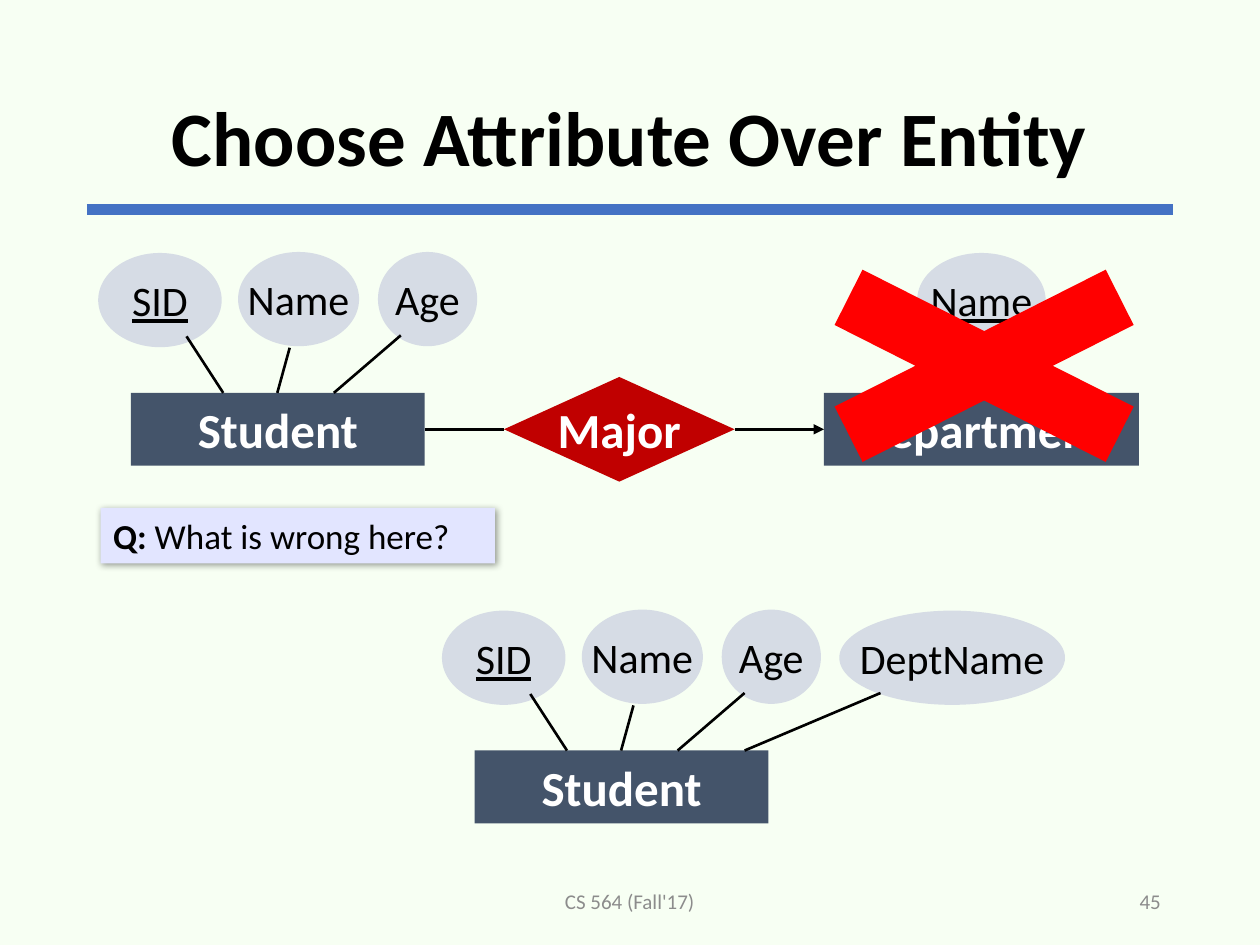
from lxml import etree
from pptx import Presentation
from pptx.dml.color import RGBColor
from pptx.enum.shapes import MSO_CONNECTOR, MSO_SHAPE
from pptx.enum.text import MSO_ANCHOR, PP_ALIGN
from pptx.oxml import parse_xml
from pptx.oxml.ns import nsdecls, qn
from pptx.util import Cm, Pt

BACK = RGBColor(0xF7, 0xFF, 0xF3)
BLUE = RGBColor(0x44, 0x72, 0xC4)
SLATE = RGBColor(0x44, 0x54, 0x6A)
PALE = RGBColor(0xD6, 0xDC, 0xE5)
LILAC = RGBColor(0xE2, 0xE5, 0xFF)
DARK_RED = RGBColor(0xC0, 0x00, 0x00)
RED = RGBColor(0xFF, 0x00, 0x00)
GREY = RGBColor(0x8C, 0x8C, 0x8C)
BLACK = RGBColor(0x00, 0x00, 0x00)
WHITE = RGBColor(0xFF, 0xFF, 0xFF)

# All lengths are in centimetres.
ENTITY_TOP, ENTITY_H = 7.92, 1.47
OVAL_H = 1.9
LOWER_SHIFT = (6.93, 7.21)

# Attribute: name, is key, left, top, width, line start x on entity, line end
STUDENT = ("Student", 2.64, 5.92)
STUDENT_ATTRS = [
    ("SID", True, 1.98, 5.1, 2.49, 4.5, (3.76, 6.78)),
    ("Name", False, 4.8, 5.08, 2.44, 5.59, (5.84, 7.01)),
    ("Age", False, 7.62, 5.08, 2.0, 6.73, (8.08, 6.76)),
]
DEPT_ATTR = ("DeptName", False, 9.99, 5.1, 4.55, 8.08, (10.82, 6.76))
DEPARTMENT = ("Department", 16.61, 6.35)
DEPARTMENT_ATTRS = [("Name", True, 18.49, 5.1, 2.59, 19.84, (19.84, 6.98))]
MAJOR = ("Major", (10.16, 7.6, 4.65, 2.11))

TITLE = ("Choose Attribute Over Entity", (1.75, 1.02, 21.9, 3.68))
FOOTERS = [
    ("CS 564 (Fall'17)", (8.41, 17.65, 8.57, 1.02), PP_ALIGN.CENTER),
    ("45", (17.93, 17.65, 5.72, 1.02), PP_ALIGN.RIGHT),
]
QUESTION = ([("Q: ", True), ("What is wrong here?", False)],
            (2.03, 10.24, 7.95, 1.12))
CROSS = (14.58, 4.72, 10.52, 5.31)


def set_font(font, size, color, bold=False, underline=False):
    font.name, font.size, font.bold = "Calibri", Pt(size), bold
    font.color.rgb = color
    if underline:
        font.underline = True


def add_shape(shapes, kind, box, fill):
    sp = shapes.add_shape(kind, *map(Cm, box))
    sp.shadow.inherit = False
    sp.fill.solid()
    sp.fill.fore_color.rgb = fill
    sp.line.fill.background()
    return sp


def add_label(shapes, kind, box, fill, text, size, color, bold=False,
              underline=False):
    sp = add_shape(shapes, kind, box, fill)
    tf = sp.text_frame
    tf.word_wrap = False
    tf.vertical_anchor = MSO_ANCHOR.MIDDLE
    p = tf.paragraphs[0]
    p.text, p.alignment = text, PP_ALIGN.CENTER
    set_font(p.font, size, color, bold, underline)
    return sp


def add_text(shapes, text, box, align, size, color, bold=False):
    tf = shapes.add_textbox(*map(Cm, box)).text_frame
    tf.word_wrap = True
    tf.vertical_anchor = MSO_ANCHOR.MIDDLE
    p = tf.paragraphs[0]
    p.text, p.alignment = text, align
    set_font(p.font, size, color, bold)
    return p


def add_line(shapes, start, end, color=BLACK, width=1.5):
    line = shapes.add_connector(MSO_CONNECTOR.STRAIGHT, *map(Cm, start + end))
    line.line.color.rgb = color
    line.line.width = Pt(width)
    etree.SubElement(line._element.spPr, qn("a:effectLst"))
    return line


def join(shapes, left_shape, right_shape):
    """Connect the right side of one shape to the left side of the next."""
    line = add_line(shapes, (0, 0), (0, 0))
    line.begin_connect(left_shape, 3)
    line.end_connect(right_shape, 1)
    return line


def add_entity(shapes, entity, attrs, shift=(0, 0)):
    """Draw an entity box with its attribute ovals, moved by shift."""
    dx, dy = shift
    name, left, width = entity
    box = add_label(shapes, MSO_SHAPE.RECTANGLE,
                    (left + dx, ENTITY_TOP + dy, width, ENTITY_H),
                    SLATE, name, 28, WHITE, bold=True)
    for text, key, x, y, w, foot, (end_x, end_y) in attrs:
        add_label(shapes, MSO_SHAPE.OVAL, (x + dx, y + dy, w, OVAL_H),
                  PALE, text, 24, BLACK, underline=key)
        add_line(shapes, (foot + dx, ENTITY_TOP + dy),
                 (end_x + dx, end_y + dy))
    return box


def add_question(shapes):
    runs, box = QUESTION
    sp = add_shape(shapes, MSO_SHAPE.RECTANGLE, box, LILAC)
    effects = sp._element.spPr.find(qn("a:effectLst"))
    effects.append(parse_xml(
        f'<a:outerShdw {nsdecls("a")} blurRad="50800" dist="12700" '
        'dir="2700000" algn="tl" rotWithShape="0"><a:srgbClr val="000000">'
        '<a:alpha val="40000"/></a:srgbClr></a:outerShdw>'))
    tf = sp.text_frame
    tf.word_wrap = True
    tf.vertical_anchor = MSO_ANCHOR.TOP
    p = tf.paragraphs[0]
    p.alignment = PP_ALIGN.LEFT
    for text, bold in runs:
        r = p.add_run()
        r.text = text
        set_font(r.font, 20, BLACK, bold)


def main():
    prs = Presentation()
    prs.slide_width, prs.slide_height = Cm(25.4), Cm(19.05)
    s = prs.slides.add_slide(prs.slide_layouts[6])
    s.background.fill.solid()
    s.background.fill.fore_color.rgb = BACK

    add_line(s.shapes, (1.75, 4.22), (23.65, 4.22), BLUE, 6)
    title = add_text(s.shapes, *TITLE, PP_ALIGN.CENTER, 44, BLACK, bold=True)
    title.line_spacing = 0.9
    for footer in FOOTERS:
        add_text(s.shapes, *footer, 12, GREY)

    upper = s.shapes.add_group_shape().shapes
    student = add_entity(upper, STUDENT, STUDENT_ATTRS)
    department = add_entity(upper, DEPARTMENT, DEPARTMENT_ATTRS)
    name, box = MAJOR
    major = add_label(upper, MSO_SHAPE.DIAMOND, box, DARK_RED, name, 28,
                      WHITE, bold=True)
    join(upper, student, major)
    arrow = join(upper, major, department)
    etree.SubElement(arrow.line._get_or_add_ln(), qn("a:tailEnd"),
                     type="triangle")

    add_question(s.shapes)
    add_shape(s.shapes, MSO_SHAPE.MATH_MULTIPLY, CROSS, RED)

    lower = s.shapes.add_group_shape().shapes
    add_entity(lower, STUDENT, STUDENT_ATTRS + [DEPT_ATTR], LOWER_SHIFT)
    prs.save("out.pptx")


if __name__ == "__main__":
    main()
